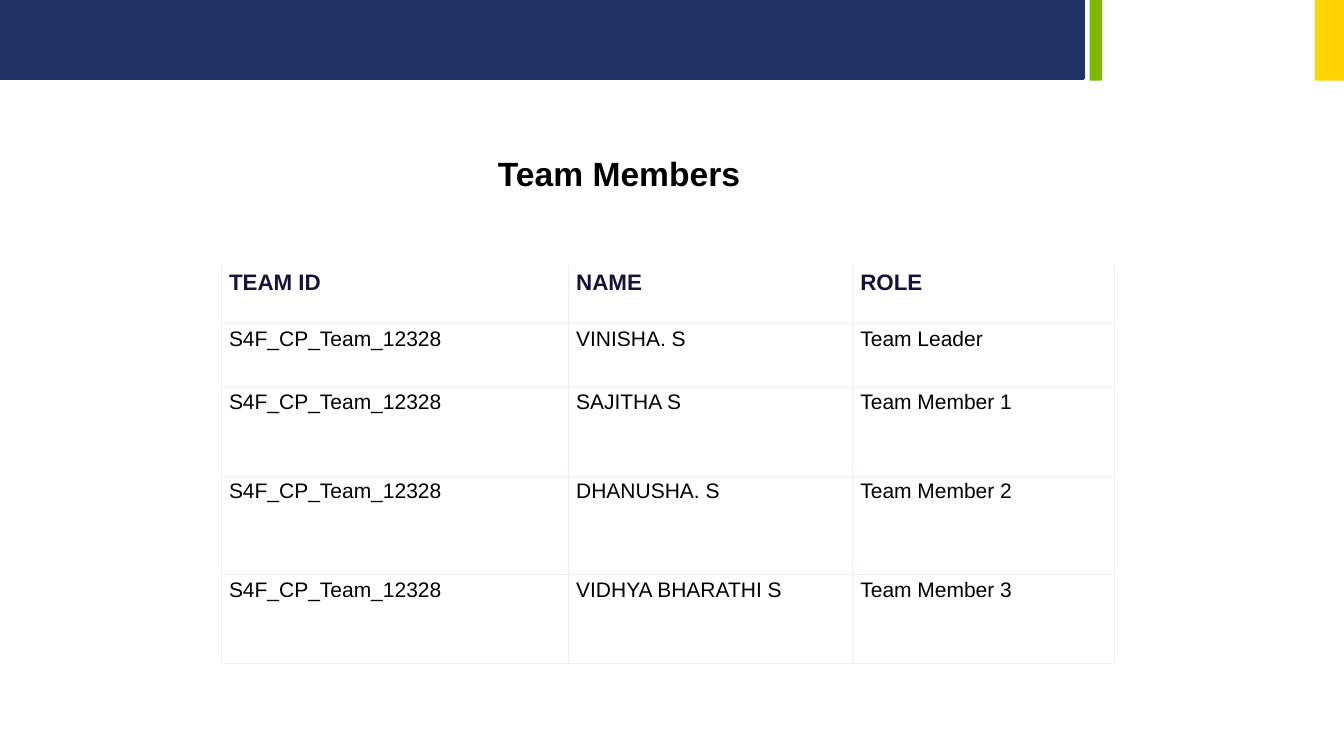
from lxml.etree import SubElement
from pptx import Presentation
from pptx.dml.color import RGBColor
from pptx.enum.shapes import MSO_SHAPE
from pptx.enum.text import MSO_ANCHOR, MSO_AUTO_SIZE, PP_ALIGN
from pptx.oxml.ns import qn
from pptx.util import Pt

COLORS = {
    "navy": "213264",
    "green": "7FBA00",
    "yellow": "FED500",
    "grid": "EDEDF5",
    "heading": "18113C",
    "text": "000000",
}


def style_font(font, size, color, bold):
    for name, value in {"name": "Arial", "size": Pt(size), "bold": bold}.items():
        setattr(font, name, value)
    font.color.rgb = RGBColor.from_string(COLORS[color])


def add_borders(cell, sides):
    """Draw thin grid lines on the given sides (L, R, T, B, in that order)."""
    cell_props = cell._tc.get_or_add_tcPr()
    for position, side in enumerate(sides):
        line = SubElement(cell_props, qn(f"a:ln{side}"), w=str(Pt(0.6)))
        fill = SubElement(line, qn("a:solidFill"))
        SubElement(fill, qn("a:srgbClr"), val=COLORS["grid"])
        cell_props.insert(position, line)


prs = Presentation()
prs.slide_width, prs.slide_height = Pt(960), Pt(540)
slide = prs.slides.add_slide(prs.slide_layouts[5])

# Header bars: left, width, height, colour
header_bars = [
    (0, 774, 56.2, "navy"),
    (778.3, 8.9, 57.6, "green"),
    (939, 21, 57.6, "yellow"),
]
for left, width, height, color in header_bars:
    bar = slide.shapes.add_shape(
        MSO_SHAPE.RECTANGLE, Pt(left), 0, Pt(width), Pt(height))
    bar.shadow.inherit = False
    bar.fill.solid()
    bar.fill.fore_color.rgb = RGBColor.from_string(COLORS[color])
    if color == "navy":
        bar.line.color.rgb = RGBColor.from_string(COLORS[color])
        bar.line.width = Pt(2)
    else:
        bar.line.fill.background()

# Heading
heading = slide.shapes.title
heading.left, heading.top, heading.width, heading.height = (
    Pt(348.5), Pt(105.8), Pt(256.3), Pt(36.3))
heading_frame = heading.text_frame
heading_frame.text = "Team Members"
heading_frame.word_wrap = True
heading_frame.auto_size = MSO_AUTO_SIZE.SHAPE_TO_FIT_TEXT
heading_frame.vertical_anchor = MSO_ANCHOR.TOP
heading_frame.paragraphs[0].alignment = PP_ALIGN.LEFT
style_font(heading_frame.paragraphs[0].runs[0].font, 24, "text", True)

# Team table
TEAM_ID = "S4F_CP_Team_12328"
team = [
    ("TEAM ID", "NAME", "ROLE"),
    (TEAM_ID, "VINISHA. S", "Team Leader"),
    (TEAM_ID, "SAJITHA S", "Team Member 1"),
    (TEAM_ID, "DHANUSHA. S", "Team Member 2"),
    (TEAM_ID, "VIDHYA BHARATHI S", "Team Member 3"),
]
column_widths = [248, 203, 187]
row_heights = [41, 45.5, 63.5, 70.2, 63.5]
margins = {"margin_left": 5.6, "margin_right": 5.6,
           "margin_top": 2.8, "margin_bottom": 2.8}

team_table = slide.shapes.add_table(
    len(row_heights), len(column_widths), Pt(158), Pt(190),
    Pt(sum(column_widths)), Pt(sum(row_heights))).table
team_table.first_row = team_table.horz_banding = False
for column, width in zip(team_table.columns, column_widths):
    column.width = Pt(width)
for row, height in zip(team_table.rows, row_heights):
    row.height = Pt(height)

for r, member in enumerate(team):
    is_header = r == 0
    for c, entry in enumerate(member):
        cell = team_table.cell(r, c)
        cell.text = entry
        cell.vertical_anchor = MSO_ANCHOR.TOP
        for margin, points in margins.items():
            setattr(cell, margin, Pt(points))
        cell.fill.background()
        add_borders(cell, "LRB" if is_header else "LRTB")
        style_font(cell.text_frame.paragraphs[0].runs[0].font,
                   16 if is_header else 15,
                   "heading" if is_header else "text", is_header)

prs.save("out.pptx")
